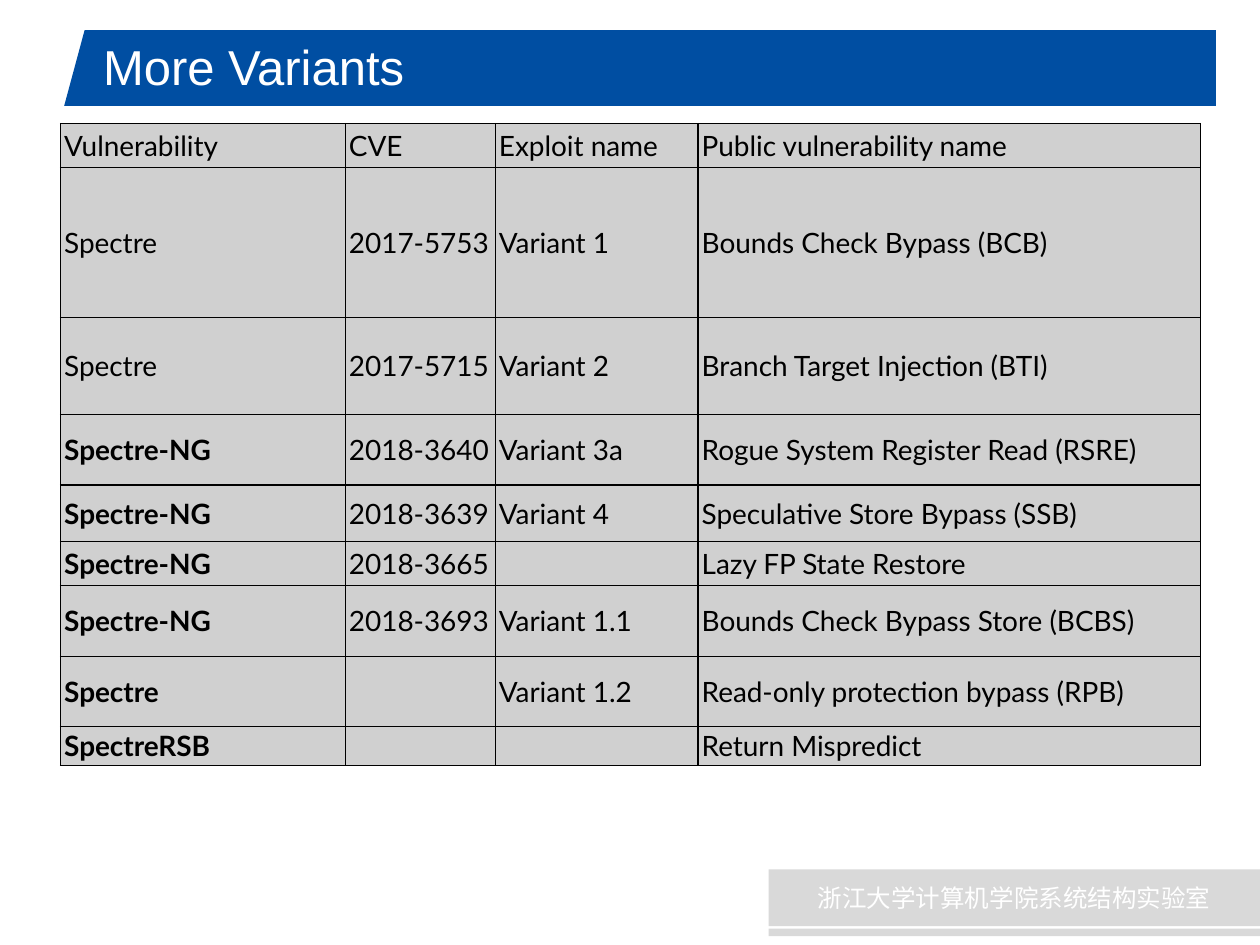
from lxml import etree
from pptx import Presentation
from pptx.dml.color import RGBColor
from pptx.enum.shapes import MSO_SHAPE as SHAPE
from pptx.enum.text import MSO_ANCHOR as ANCHOR, PP_ALIGN as ALIGN
from pptx.oxml import parse_xml
from pptx.oxml.ns import nsdecls, qn
from pptx.util import Inches, Pt

BLUE = RGBColor(0x00, 0x4E, 0xA2)
FOOTER_GRAY = RGBColor(0xD9, 0xD9, 0xD9)
CELL_GRAY = RGBColor(0xD0, 0xD0, 0xD0)
WHITE = RGBColor(0xFF, 0xFF, 0xFF)
BLACK = RGBColor(0x00, 0x00, 0x00)


def add_bar(kind, box, color):
    sp = s.shapes.add_shape(kind, *map(Inches, box))
    sp.fill.solid()
    sp.fill.fore_color.rgb = color
    sp.line.fill.background()
    sp.shadow.inherit = False
    return sp


def set_font(p, name, size, color):
    p.font.name = name
    p.font.size = Pt(size)
    p.font.color.rgb = color


prs = Presentation()
prs.slide_width, prs.slide_height = Inches(10), Inches(7.5)
s = prs.slides.add_slide(prs.slide_layouts[6])

banner = add_bar(SHAPE.TRAPEZOID, (0.51, 0.24, 4.06, 0.6), BLUE)
banner.adjustments[0] = 0.27
add_bar(SHAPE.RECTANGLE, (3.82, 0.24, 5.83, 0.6), BLUE)
add_bar(SHAPE.RECTANGLE, (4.85, 0.79, 4.8, 0.05), BLUE)
footer = add_bar(SHAPE.RECTANGLE, (6.1, 6.9, 3.9, 0.45), FOOTER_GRAY)
add_bar(SHAPE.RECTANGLE, (6.1, 7.37, 3.9, 0.06), FOOTER_GRAY)

footer.text_frame.vertical_anchor = ANCHOR.MIDDLE
p = footer.text_frame.paragraphs[0]
p.alignment = ALIGN.CENTER
r = p.add_run()
r.text = "浙江大学计算机学院系统结构实验室"
set_font(r, "Noto Sans CJK SC", 14, WHITE)
etree.SubElement(r.font._element, qn("a:ea"), typeface="Noto Sans CJK SC")

title = s.shapes.add_textbox(Inches(0.72), Inches(0.25), Inches(8.64), Inches(0.55))
tf = title.text_frame
tf.word_wrap = True
tf.vertical_anchor = ANCHOR.MIDDLE
p = tf.paragraphs[0]
p.text = "More Variants"
set_font(p, "Arial", 28, WHITE)

variants = [
    ("Vulnerability", "CVE", "Exploit name", "Public vulnerability name"),
    ("Spectre", "2017-5753", "Variant 1", "Bounds Check Bypass (BCB)"),
    ("Spectre", "2017-5715", "Variant 2", "Branch Target Injection (BTI)"),
    ("Spectre-NG", "2018-3640", "Variant 3a", "Rogue System Register Read (RSRE)"),
    ("Spectre-NG", "2018-3639", "Variant 4", "Speculative Store Bypass (SSB)"),
    ("Spectre-NG", "2018-3665", "", "Lazy FP State Restore"),
    ("Spectre-NG", "2018-3693", "Variant 1.1", "Bounds Check Bypass Store (BCBS)"),
    ("Spectre", "", "Variant 1.2", "Read-only protection bypass (RPB)"),
    ("SpectreRSB", "", "", "Return Mispredict"),
]
col_widths = [2.26, 1.19, 1.61, 3.99]
row_heights = [0.35, 1.19, 0.77, 0.56, 0.45, 0.35, 0.56, 0.56, 0.3]
FIRST_BOLD_ROW = 3

frame = s.shapes.add_table(len(row_heights), len(col_widths), Inches(0.48), Inches(0.98),
                           Inches(sum(col_widths)), Inches(sum(row_heights)))
table = frame.table
table.first_row = table.horz_banding = False
for column, width in zip(table.columns, col_widths):
    column.width = Inches(width)

for i, (row, height, texts) in enumerate(zip(table.rows, row_heights, variants)):
    row.height = Inches(height)
    for j, (cell, text) in enumerate(zip(row.cells, texts)):
        cell.margin_left = cell.margin_right = Inches(0.03)
        cell.margin_top = cell.margin_bottom = Inches(0.02)
        cell.vertical_anchor = ANCHOR.MIDDLE
        p = cell.text_frame.paragraphs[0]
        p.text = text
        p.alignment = ALIGN.LEFT
        set_font(p, "Lato", 16, BLACK)
        p.font.bold = j == 0 and i >= FIRST_BOLD_ROW
        if not text:
            etree.SubElement(p._p, qn("a:endParaRPr"), sz="1600")
        tcPr = cell._tc.get_or_add_tcPr()
        for side in ("lnL", "lnR", "lnT", "lnB"):
            tcPr.append(parse_xml(
                f'<a:{side} {nsdecls("a")} w="{Pt(0.75)}"><a:solidFill>'
                f'<a:srgbClr val="{BLACK}"/></a:solidFill></a:{side}>'))
        cell.fill.solid()
        cell.fill.fore_color.rgb = CELL_GRAY

prs.save("out.pptx")
